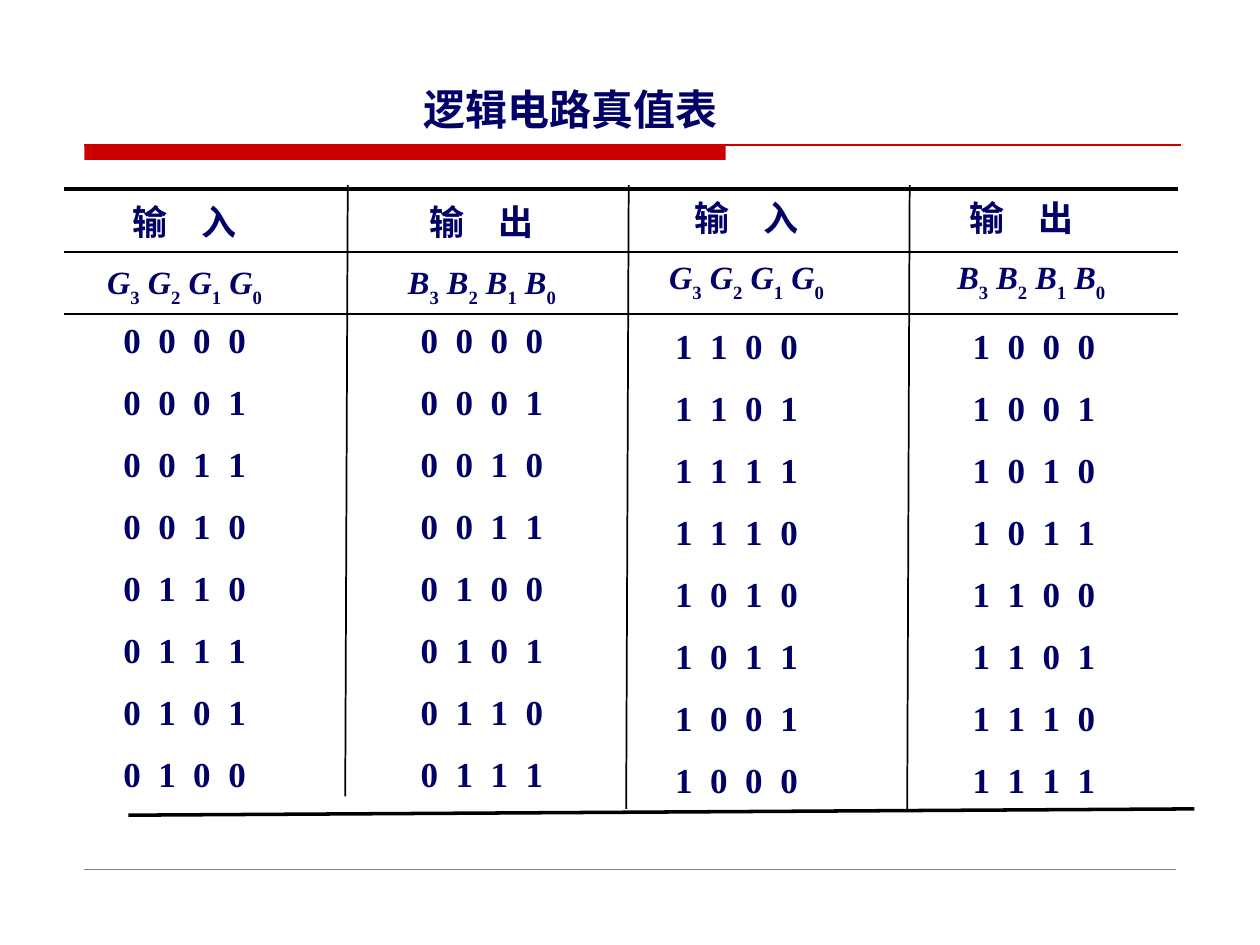
from pptx import Presentation
from pptx.dml.color import RGBColor
from pptx.enum.shapes import MSO_CONNECTOR, MSO_SHAPE
from pptx.enum.text import MSO_ANCHOR, MSO_AUTO_SIZE, PP_ALIGN
from pptx.oxml.ns import qn
from pptx.util import Inches, Pt
from lxml.etree import SubElement


def add_span(para, text, size=20, italic=False, baseline=0, spacing=0):
    span = para.add_run()
    span.text = text
    span.font.name = "Times New Roman"
    span.font.size = Pt(size)
    span.font.bold = True
    span.font.italic = italic
    span.font.color.rgb = RGBColor.from_string("000066")
    properties = span.font._element
    if baseline:
        properties.set("baseline", str(baseline))
    if spacing:
        properties.set("spc", str(spacing))


def add_line(page, start, end, color="000000", width=1):
    line = page.shapes.add_connector(
        MSO_CONNECTOR.STRAIGHT, *[Inches(value) for value in (*start, *end)])
    line.line.color.rgb = RGBColor.from_string(color)
    line.line.width = Pt(width)
    SubElement(line._element.spPr, qn("a:effectLst"))


deck = Presentation()
deck.slide_width, deck.slide_height = Inches(10), Inches(7.5)
page = deck.slides.add_slide(deck.slide_layouts[5])

bar = page.shapes.add_shape(
    MSO_SHAPE.RECTANGLE, Inches(0.67), Inches(1.15), Inches(5.09), Inches(0.12))
bar.shadow.inherit = False
bar.fill.solid()
bar.fill.fore_color.rgb = RGBColor.from_string("CC0000")
bar.line.fill.background()
add_line(page, (0.67, 1.15), (9.37, 1.15), color="CC0000")
add_line(page, (0.67, 6.9), (9.33, 6.9), color="808080", width=0.25)

title = page.shapes.title
title.left, title.top = Inches(3.26), Inches(0.21)
title.width, title.height = Inches(2.53), Inches(0.9)
title.text_frame.margin_left = title.text_frame.margin_right = 0
title.text_frame.word_wrap = False
title.text_frame.auto_size = MSO_AUTO_SIZE.NONE
title.text_frame.vertical_anchor = MSO_ANCHOR.TOP
heading = title.text_frame.paragraphs[0]
heading.alignment = PP_ALIGN.CENTER
heading.line_spacing = 2
add_span(heading, "逻辑电路真值表", size=24)

row_height = 3.45 / 7
halves = [
    dict(left=0.51, top=1.5, widths=(1.91, 2.47), letter_row=0.47, first=0,
         letter_margins=(0.07, 0), shifts=[(0, 0.17)] * 3),
    dict(left=4.89, top=1.47, widths=(1.91, 2.81), letter_row=0.55, first=8,
         letter_margins=(0, 0.03), shifts=[(0.08, -0.1), (0.08, -0.02), (0, 0)]),
]
for half in halves:
    frame = page.shapes.add_table(
        10, 2, Inches(half["left"]), Inches(half["top"]),
        Inches(sum(half["widths"])), Inches(9 * row_height + half["letter_row"]))
    table = frame.table
    table.first_row = table.horz_banding = False
    style = table._tbl.tblPr.find(qn("a:tableStyleId"))
    style.text = "{2D5ABB26-0587-4C30-8999-92F81FD0307C}"
    for column, width in zip(table.columns, half["widths"]):
        column.width = Inches(width)
    for row_index, row in enumerate(table.rows):
        row.height = Inches(half["letter_row"] if row_index == 1 else row_height)
        value = half["first"] + row_index - 2
        for column_index, cell in enumerate(row.cells):
            shift = half["shifts"][min(row_index, 2)][column_index]
            margins = half["letter_margins"] if row_index == 1 else (0, 0)
            cell.margin_left = Inches(max(2 * shift, 0))
            cell.margin_right = Inches(max(-2 * shift, 0))
            cell.margin_top, cell.margin_bottom = map(Inches, margins)
            cell.vertical_anchor = MSO_ANCHOR.MIDDLE
            cell.fill.background()
            para = cell.text_frame.paragraphs[0]
            para.alignment = PP_ALIGN.CENTER
            if row_index == 1:
                para.line_spacing = 0.9
                letter = "GB"[column_index]
                for digit in "3210":
                    lead = "" if digit == "3" else " "
                    add_span(para, lead + letter, size=18.5, italic=True)
                    add_span(para, digit, size=18.5, baseline=-30000)
                continue
            if row_index == 0:
                text, spacing = ("输 入", "输 出")[column_index], 750
            else:
                code = (value ^ value >> 1, value)[column_index]
                text, spacing = " ".join(f"{code:04b}"), 250
            add_span(para, text[:-1], spacing=spacing)
            add_span(para, text[-1])

for y, width in [(1.5, 2), (2, 1), (2.49, 1)]:
    add_line(page, (0.51, y), (9.35, y), width=width)
for x, bottom in [(2.76, 6.32), (4.99, 6.42), (7.22, 6.42)]:
    add_line(page, (x, 1.47), (x - 0.02, bottom))
add_line(page, (1.02, 6.47), (9.48, 6.42), width=2)

deck.save("out.pptx")
